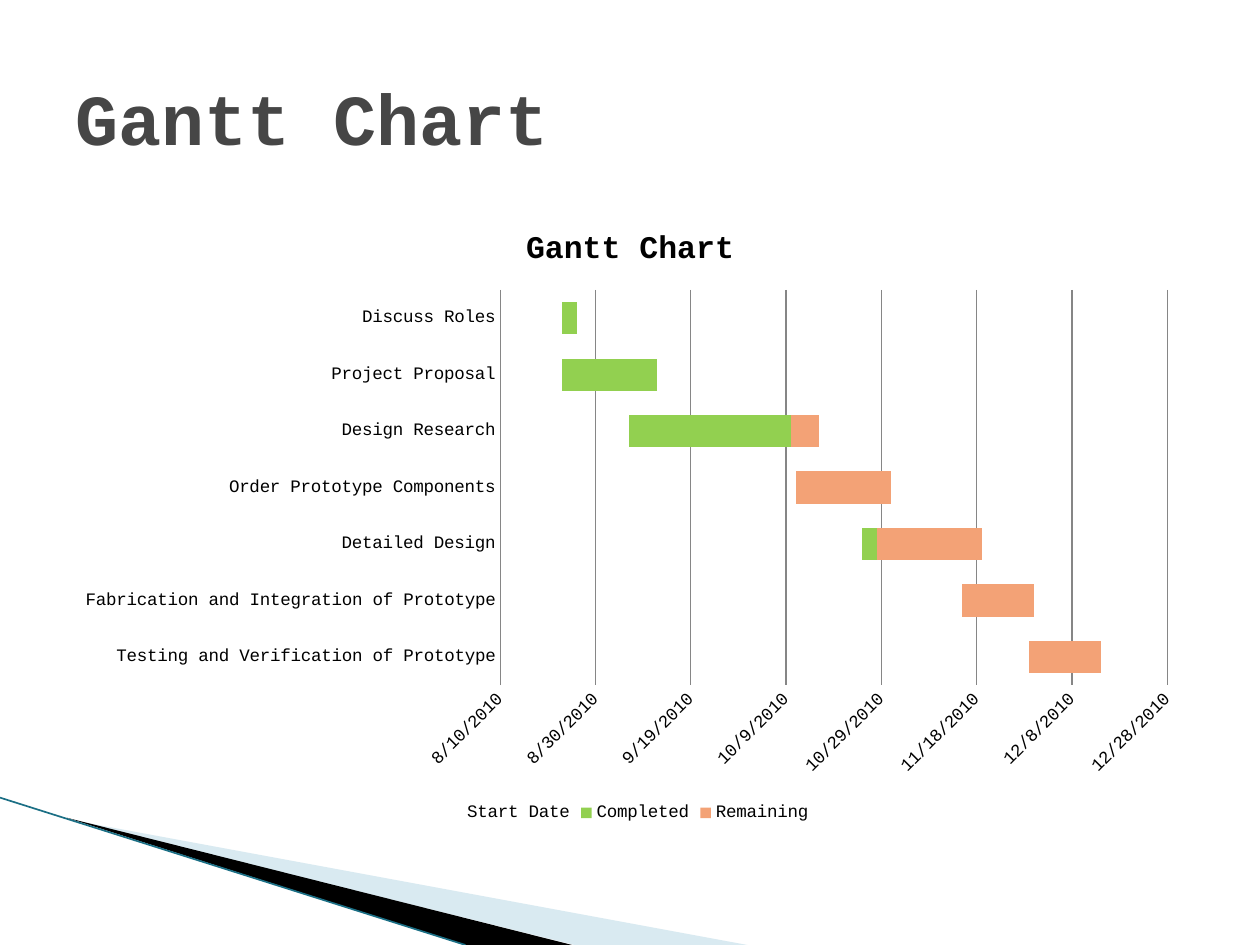
from dataclasses import dataclass

from lxml import etree
from pptx import Presentation
from pptx import util as u
from pptx.chart.data import CategoryChartData
from pptx.dml.color import RGBColor
from pptx.enum import chart as ch, shapes, text
from pptx.oxml.ns import qn


@dataclass(frozen=True)
class Theme:
    font: str = "Courier New"
    title_color: str = "464646"
    ink: str = "000000"
    grid: str = "868686"
    pale: str = "A0CBDC"
    edge: str = "1B6F85"
    completed: str = "92D050"
    remaining: str = "F3A276"
    title_size: float = 41
    chart_title_size: float = 18
    label_size: float = 10


class SlideBuilder:
    def __init__(self, s, theme):
        self.s = s
        self.theme = theme

    def style(self, font, size, color, bold=False):
        font.name = self.theme.font
        font.size = u.Pt(size)
        font.bold = bold
        font.color.rgb = RGBColor.from_string(color)

    def polygon(self, points, color, alpha=None):
        pts = [(u.Pt(x), u.Pt(y)) for x, y in points]
        fb = self.s.shapes.build_freeform(*pts[0])
        fb.add_line_segments(pts[1:], close=True)
        sp = fb.convert_to_shape()
        sp.shadow.inherit = False
        sp.fill.solid()
        sp.fill.fore_color.rgb = RGBColor.from_string(color)
        sp.line.fill.background()
        if alpha is not None:
            clr = sp._element.spPr.find(".//" + qn("a:srgbClr"))
            etree.SubElement(clr, qn("a:alpha")).set("val", str(alpha * 1000))

    def line(self, x1, y1, x2, y2, color, width):
        cx = self.s.shapes.add_connector(
            shapes.MSO_CONNECTOR.STRAIGHT, u.Pt(x1), u.Pt(y1), u.Pt(x2), u.Pt(y2))
        cx.line.color.rgb = RGBColor.from_string(color)
        cx.line.width = u.Pt(width)
        etree.SubElement(cx._element.spPr, qn("a:effectLst"))

    def title(self, words, x, y, w, h):
        tf = self.s.shapes.add_textbox(u.Pt(x), u.Pt(y), u.Pt(w), u.Pt(h)).text_frame
        tf.word_wrap = True
        tf.vertical_anchor = text.MSO_ANCHOR.MIDDLE
        p = tf.paragraphs[0]
        p.text = words
        self.style(p.font, self.theme.title_size, self.theme.title_color, True)

    def gantt(self, name, tasks, x, y, w, h, first_day, last_day, step):
        t = self.theme
        labels, starts, done, left = zip(*reversed(tasks))
        data = CategoryChartData()
        data.categories = labels
        data.add_series("Start Date", starts)
        data.add_series("Completed", done)
        data.add_series("Remaining", left)
        chart = self.s.shapes.add_chart(
            ch.XL_CHART_TYPE.BAR_STACKED, u.Pt(x), u.Pt(y), u.Pt(w), u.Pt(h), data).chart
        self.style(chart.font, t.label_size, t.ink)

        chart.has_title = True
        tf = chart.chart_title.text_frame
        tf.text = name
        self.style(tf.paragraphs[0].font, t.chart_title_size, t.ink, True)
        chart.has_legend = True
        chart.legend.position = ch.XL_LEGEND_POSITION.BOTTOM
        chart.legend.include_in_layout = False

        plot = chart.plots[0]
        plot.gap_width = 75
        plot.overlap = 100
        plot.vary_by_categories = False
        for series, color in zip(plot.series, (None, t.completed, t.remaining)):
            series.format.line.fill.background()
            if color is None:
                series.format.fill.background()
            else:
                series.format.fill.solid()
                series.format.fill.fore_color.rgb = RGBColor.from_string(color)

        for axis in (chart.category_axis, chart.value_axis):
            axis.major_tick_mark = axis.minor_tick_mark = ch.XL_TICK_MARK.NONE
        tasks_axis, dates = chart.category_axis, chart.value_axis
        tasks_axis.has_major_gridlines = False
        dates.has_major_gridlines = True
        for fmt in (tasks_axis.format, dates.major_gridlines.format):
            fmt.line.color.rgb = RGBColor.from_string(t.grid)
            fmt.line.width = u.Pt(0.75)
        dates.format.line.fill.background()
        dates.minimum_scale = first_day
        dates.maximum_scale = last_day
        dates.major_unit = step
        dates.tick_labels.number_format = "m/d/yyyy"
        dates.tick_labels.number_format_is_linked = False
        self.style(dates.tick_labels.font, t.label_size, t.ink)
        dates._element.find(qn("c:txPr")).find(qn("a:bodyPr")).set("rot", "-2700000")


TASKS = [
    ("Discuss Roles", 40413, 3, 0),
    ("Project Proposal", 40413, 20, 0),
    ("Design Research", 40427, 34, 6),
    ("Order Prototype Components", 40462, 0, 20),
    ("Detailed Design", 40476, 3, 22),
    ("Fabrication and Integration of Prototype", 40497, 0, 15),
    ("Testing and Verification of Prototype", 40511, 0, 15),
]


def main():
    prs = Presentation()
    prs.slide_width, prs.slide_height = u.Pt(720), u.Pt(540)
    theme = Theme()
    b = SlideBuilder(prs.slides.add_slide(prs.slide_layouts[6]), theme)
    b.polygon([(39.6, 468.4), (427, 540), (328.3, 540)], theme.pale, 40)
    b.polygon([(38.2, 467.3), (327, 540), (266, 540)], theme.ink)
    b.line(0, 455.8, 266, 540, theme.edge, 0.95)
    b.title("Gantt Chart", 36, 21.6, 648, 90)
    b.gantt("Gantt Chart", TASKS, 36, 116.6, 648, 356.4, 40400, 40540, 20)
    prs.save("out.pptx")


if __name__ == "__main__":
    main()
